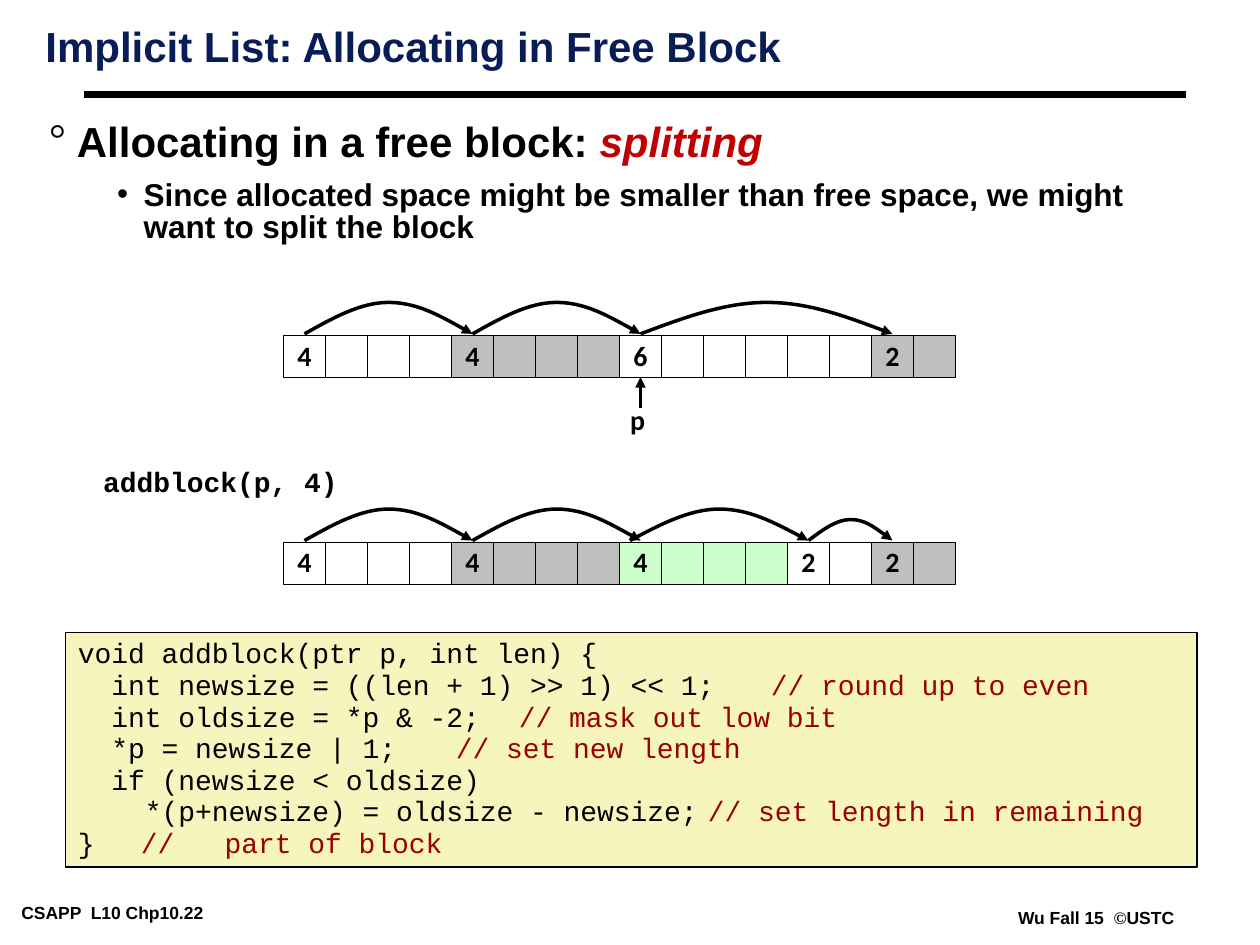
from lxml.etree import SubElement as Sub
from pptx import Presentation
from pptx.dml.color import RGBColor
from pptx.enum.shapes import MSO_CONNECTOR as Link, MSO_SHAPE as Form
from pptx.enum.text import MSO_ANCHOR as Anchor, MSO_AUTO_SIZE as Auto, PP_ALIGN as Align
from pptx.oxml.ns import qn
from pptx.util import Emu, Inches, Pt

BLACK, WHITE, GRAY, GREEN = "000000", "FFFFFF", "BFBFBF", "CCFFCC"
RED, NAVY, CREAM, NOTE = "C00000", "081D58", "F6F5BD", "990000"
SANS, MONO, HAND, SERIF = "Arial", "Courier New", "Calibri", "Times New Roman"
LEFT = 6.75


def color(code):
    """Turn a hex string into a colour."""
    return RGBColor.from_string(code)


def write(par, *runs, size=16, font=SANS, ink=BLACK, bold=True, align=Align.LEFT,
          line=1.0, before=0, mark=None, hang=(0, 0), tab=None):
    """Fill a paragraph with runs, each a string or a pair of string and changes."""
    par.alignment, par.line_spacing, par.space_before = align, line, Pt(before)
    props = par._p.get_or_add_pPr()
    props.set("marL", str(Inches(hang[0])))
    props.set("indent", str(Inches(hang[1])))
    if mark:
        Sub(Sub(props, qn("a:buClr")), qn("a:srgbClr"), val=BLACK)
        Sub(props, qn("a:buFont"), typeface=SERIF if mark == "°" else SANS)
        Sub(props, qn("a:buChar"), char=mark)
    else:
        Sub(props, qn("a:buNone"))
    if tab:
        Sub(Sub(props, qn("a:tabLst")), qn("a:tab"), pos=str(Inches(tab)), algn="l")
    for item in runs:
        text, diff = (item, {}) if isinstance(item, str) else item
        run = par.add_run()
        run.text = text
        run.font.size, run.font.bold = Pt(size), bold
        run.font.name = diff.get("font", font)
        run.font.italic = diff.get("slant", False)
        run.font.color.rgb = color(diff.get("ink", ink))


class Board:
    """Holds the slide, its grid of one-third-inch units and its style."""

    def __init__(self, deck):
        """Add a title-only slide with a grid of 30 columns."""
        self.unit = deck.slide_width / 30
        self.slide = deck.slides.add_slide(deck.slide_layouts[5])
        self.shapes = self.slide.shapes

    def at(self, *units):
        """Convert grid units to lengths."""
        return [Emu(round(u * self.unit)) for u in units]

    def frame(self, shape, pad=(0.07, 0.03, 0.07, 0.03), wrap=True, anchor=Anchor.TOP):
        """Set the margins, wrapping and anchor of a shape's text."""
        area = shape.text_frame
        area.margin_left, area.margin_top, area.margin_right, area.margin_bottom = map(Inches, pad)
        area.word_wrap, area.auto_size, area.vertical_anchor = wrap, Auto.NONE, anchor
        return area

    def title(self, text, *box):
        """Move and format the title."""
        shape = self.shapes.title
        shape.left, shape.top, shape.width, shape.height = self.at(*box)
        write(self.frame(shape).paragraphs[0], text, size=24, ink=NAVY, line=0.87)

    def text(self, box, *runs, **form):
        """Add a text box and return its frame."""
        area = self.frame(self.shapes.add_textbox(*self.at(*box)), wrap=False)
        write(area.paragraphs[0], *runs, **form)
        return area

    def rect(self, box, fill, width):
        """Add an outlined rectangle."""
        shape = self.shapes.add_shape(Form.RECTANGLE, *self.at(*box))
        shape.shadow.inherit = False
        shape.fill.solid()
        shape.fill.fore_color.rgb = color(fill)
        self.ink(shape, width)
        return shape

    def ink(self, shape, width, head=False):
        """Draw a black line, with an arrowhead at its end on demand."""
        shape.line.color.rgb = color(BLACK)
        shape.line.width = Pt(width)
        if head:
            Sub(shape.line._get_or_add_ln(), qn("a:tailEnd"), type="triangle")

    def line(self, start, end, width, goal=None):
        """Add a straight line, or an arrow to the lower side of a shape."""
        link = self.shapes.add_connector(Link.STRAIGHT, *self.at(*start, *end))
        if goal is not None:
            link.end_connect(goal, 2)
        self.ink(link, width, goal is not None)
        Sub(link._element.spPr, qn("a:effectLst"))

    def arc(self, start, end, base, rise):
        """Add a curved arrow of two mirrored Bezier parts."""
        shares = [(0, 0), (1 / 6, 0.5), (1 / 3, 1), (0.5, 1), (2 / 3, 1), (5 / 6, 0.5), (1, 0)]
        spots = [self.at(start + (end - start) * x, base - rise * y) for x, y in shares]
        pen = self.shapes.build_freeform(*spots[0])
        pen.add_line_segments(spots[1:], close=False)
        shape = pen.convert_to_shape()
        trace = next(shape._element.iter(qn("a:path")))
        steps = trace.findall(qn("a:lnTo"))
        for i in (0, 3):
            bend = Sub(trace, qn("a:cubicBezTo"))
            for step in steps[i:i + 3]:
                bend.append(step[0])
                trace.remove(step)
        shape.shadow.inherit = False
        shape.fill.background()
        self.ink(shape, 2, True)

    def heap(self, top, blocks, hops, rise=0.75):
        """Draw a row of blocks with hops and return the first cell of each block."""
        col, heads = LEFT, []
        for size, fill in blocks:
            cells = [self.rect((col + i, top, 1, 1), fill, 0.25) for i in range(size)]
            area = self.frame(cells[0], (0, 0, 0, 0), False, Anchor.MIDDLE)
            write(area.paragraphs[0], str(size), font=HAND, align=Align.CENTER, line=0.98)
            heads.append(cells[0])
            col += size
        for start, end in hops:
            lift = rise if end - start > 2 else 0.5
            self.arc(LEFT + start, LEFT + end, top - 0.03, lift)
        return heads

    def code(self, box, lines):
        """Add a code panel with its remarks at a tab stop."""
        area = self.frame(self.rect(box, CREAM, 1), (0.1, 0.05, 0.03, 0.05))
        for i, (code, note) in enumerate(lines):
            par = area.add_paragraph() if i else area.paragraphs[0]
            runs = [code + "\t", (note, {"ink": NOTE})] if note else [code]
            write(par, *runs, font=MONO, bold=False, line=0.94, tab=5.33)


def main():
    """Build the slide and save it."""
    deck = Presentation()
    deck.slide_width, deck.slide_height = Inches(10), Inches(7.5)
    board = Board(deck)
    board.text((0.3, 21.39, 6.3, 0.66), "CSAPP  L10 Chp10.22", size=10)
    board.text((24.03, 21.51, 4.14, 0.66), "Wu Fall 15  ", ("©", {"font": SERIF}), "USTC", size=10)
    board.line((2, 2.25), (28.25, 2.25), 4.5)
    board.title("Implicit List: Allocating in Free Block", 0.87, 0.57, 28.26, 1.89)
    body = board.text((0.96, 2.94, 27.27, 4), "Allocating in a free block: ",
                      ("splitting", {"ink": RED, "slant": True}),
                      size=24, line=0.75, mark="°", hang=(0.22, -0.22))
    body.word_wrap = True
    point = body.add_paragraph()
    point.level = 1
    write(point, "Since allocated space might be smaller than free space, "
          "we might want to split the block",
          size=18, line=0.85, before=9, mark="•", hang=(0.75, -0.21))
    old = [(4, WHITE), (4, GRAY), (6, WHITE), (2, GRAY)]
    new = [(4, WHITE), (4, GRAY), (4, GREEN), (2, WHITE), (2, GRAY)]
    heads = board.heap(7.98, old, [(0.5, 4.5), (4.5, 8.5), (8.5, 14.5)])
    board.line((15.25, 9.72), (15.25, 8.98), 2, heads[2])
    board.text((14.7, 9.54, 0.96, 1.08), "p", font=HAND, align=Align.CENTER, line=0.98)
    board.text((2.31, 11.1, 5.88, 1), "addblock(p, 4)", font=MONO, align=Align.CENTER, line=0.85)
    board.heap(12.9, new, [(0.5, 4.5), (4.5, 8.5), (8.25, 12.5), (12.5, 14.5)])
    board.code((1.56, 15.06, 26.94, 5.58), [
        ("void addblock(ptr p, int len) {", ""),
        ("  int newsize = ((len + 1) >> 1) << 1;", "// round up to even"),
        ("  int oldsize = *p & -2;", "// mask out low bit"),
        ("  *p = newsize | 1;", "// set new length"),
        ("  if (newsize < oldsize)", ""),
        ("    *(p+newsize) = oldsize - newsize;", "// set length in remaining"),
        ("}", "//   part of block"),
    ])
    deck.save("out.pptx")


if __name__ == "__main__":
    main()
